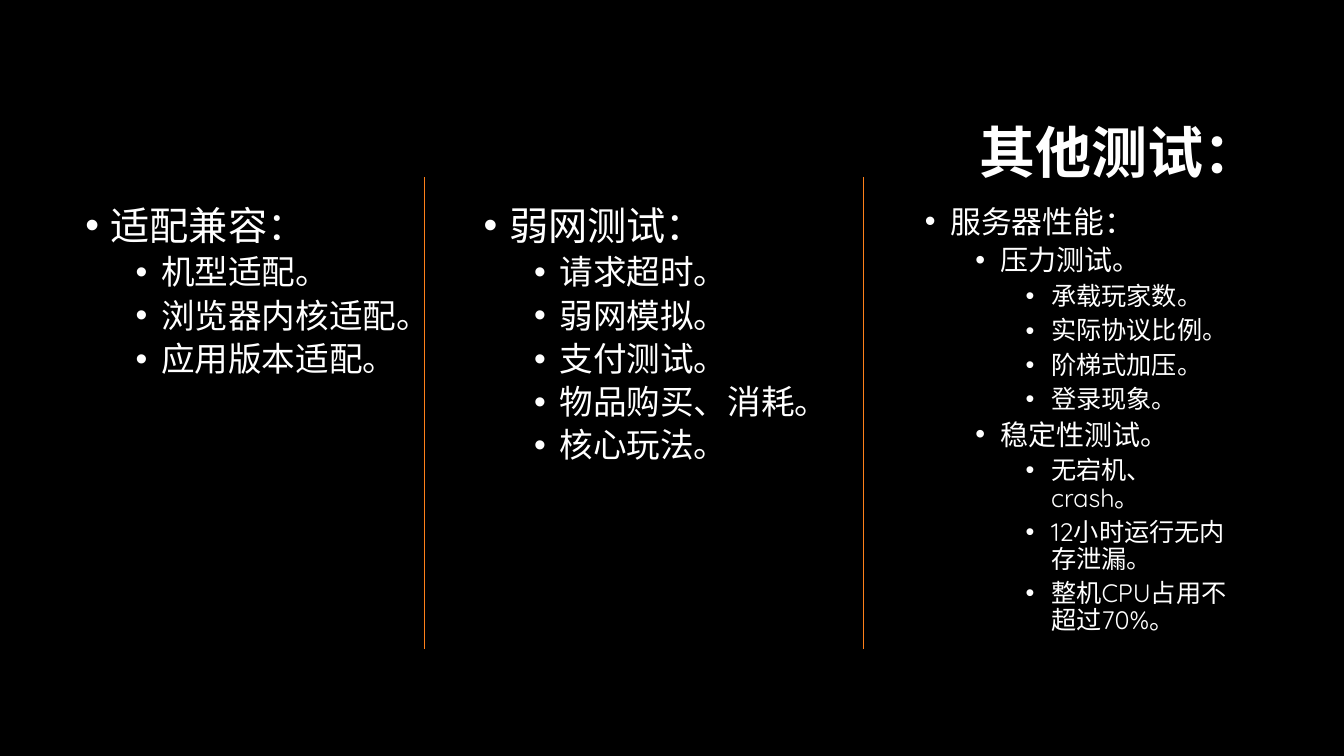
import pptx
import pptx.dml.color
import pptx.enum.shapes
import pptx.enum.text
import pptx.oxml.ns
import pptx.util
from lxml import etree
from pptx.util import Cm

COLUMN_TOP, COLUMN_HEIGHT = 5.08, 12.09
DIVIDER_TOP, DIVIDER_BOTTOM = 4.47, 16.36
HANGING = 0.64
LEVEL_STEP = 1.27

COMPATIBILITY = [
    (0, "适配兼容："),
    (1, "机型适配。"),
    (1, "浏览器内核适配。"),
    (1, "应用版本适配。"),
]
WEAK_NETWORK = [
    (0, "弱网测试："),
    (1, "请求超时。"),
    (1, "弱网模拟。"),
    (1, "支付测试。"),
    (1, "物品购买、消耗。"),
    (1, "核心玩法。"),
]
SERVER = [
    (0, "服务器性能："),
    (1, "压力测试。"),
    (2, "承载玩家数。"),
    (2, "实际协议比例。"),
    (2, "阶梯式加压。"),
    (2, "登录现象。"),
    (1, "稳定性测试。"),
    (2, "无宕机、crash。"),
    (2, "12小时运行无内存泄漏。"),
    (2, "整机CPU占用不超过70%。"),
]


def color(value):
    return pptx.dml.color.RGBColor.from_string(value)


def write(para, text, size, font="Quicksand", ink="FFFFFF", bold=False, align="LEFT", before=0):
    para.alignment = getattr(pptx.enum.text.PP_ALIGN, align)
    para.line_spacing = 0.9
    para.space_before = pptx.util.Pt(before)
    span = para.add_run()
    span.text = text
    span.font.name = font
    span.font.size = pptx.util.Pt(size)
    span.font.bold = bold
    span.font.color.rgb = color(ink)


class Slide:
    """Holds the accent style and the current page, and draws its elements."""

    def __init__(self, page, background="000000", accent="FE801A"):
        self.page = page
        self.accent = accent
        page.background.fill.solid()
        page.background.fill.fore_color.rgb = color(background)

    def frame(self, left, top, width, height):
        box = self.page.shapes.add_textbox(Cm(left), Cm(top), Cm(width), Cm(height))
        box.text_frame.word_wrap = True
        return box.text_frame

    def title(self, text, left, top, width, height):
        frame = self.frame(left, top, width, height)
        frame.vertical_anchor = pptx.enum.text.MSO_ANCHOR.MIDDLE
        write(frame.paragraphs[0], text, 40, bold=True, align="RIGHT")

    def bullets(self, items, left, width, sizes):
        frame = self.frame(left, COLUMN_TOP, width, COLUMN_HEIGHT)
        for index, (level, text) in enumerate(items):
            para = frame.add_paragraph() if index else frame.paragraphs[0]
            para.level = level
            write(para, text, sizes[level], before=5 if level else 10)
            self.mark(para, level)

    def mark(self, para, level):
        properties = para._p.get_or_add_pPr()
        properties.set("marL", str(Cm(HANGING + LEVEL_STEP * level)))
        properties.set("indent", str(-Cm(HANGING)))
        qn = pptx.oxml.ns.qn
        etree.SubElement(properties, qn("a:buFont"), typeface="Arial")
        etree.SubElement(properties, qn("a:buChar"), char="•")

    def divider(self, x):
        line = self.page.shapes.add_connector(
            pptx.enum.shapes.MSO_CONNECTOR.STRAIGHT,
            Cm(x), Cm(DIVIDER_TOP), Cm(x), Cm(DIVIDER_BOTTOM))
        line.line.color.rgb = color(self.accent)
        line.line.width = pptx.util.Pt(0.75)
        etree.SubElement(line._element.spPr, pptx.oxml.ns.qn("a:effectLst"))


def main():
    deck = pptx.Presentation()
    deck.slide_width, deck.slide_height = Cm(33.87), Cm(19.05)
    slide = Slide(deck.slides.add_slide(deck.slide_layouts[6]))
    slide.title("其他测试：", 8.05, 2.13, 23.93, 3.58)
    slide.bullets(SERVER, 23.06, 8.15, (22, 20, 18))
    slide.bullets(WEAK_NETWORK, 11.94, 8.94, (28, 24))
    slide.bullets(COMPATIBILITY, 1.9, 8.61, (28, 24))
    for x in (10.69, 21.75):
        slide.divider(x)
    deck.save("out.pptx")


if __name__ == "__main__":
    main()
